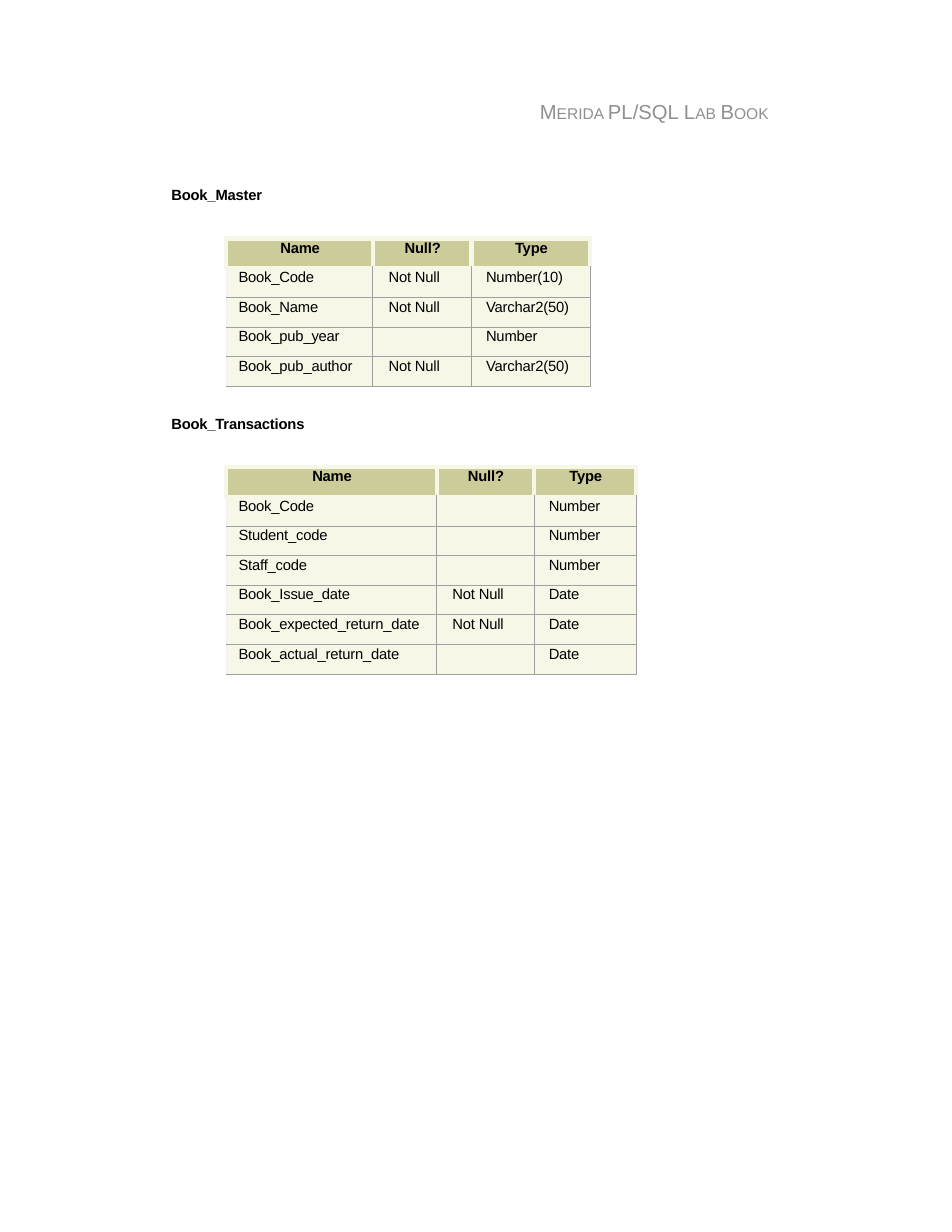
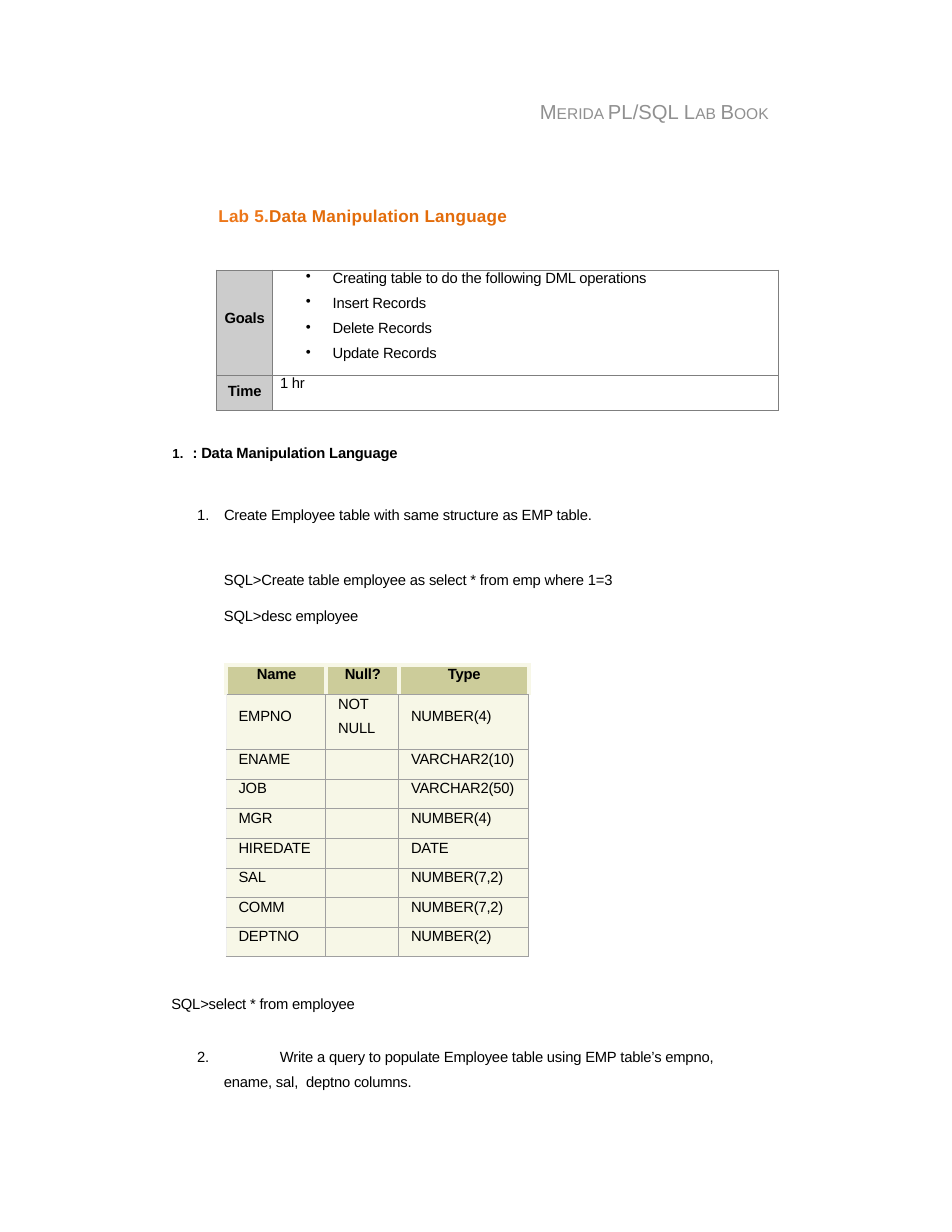
import pptx
import pptx.util
import pptx.dml.color
import pptx.enum.text
import pptx.oxml.ns
from lxml import etree

Inches = pptx.util.Inches
Pt = pptx.util.Pt
RGBColor = pptx.dml.color.RGBColor
qn = pptx.oxml.ns.qn
CENTER = pptx.enum.text.PP_ALIGN.CENTER

BLACK = RGBColor(0x00, 0x00, 0x00)
TITLE_GREY = RGBColor(0x90, 0x90, 0x90)
ORANGE = RGBColor(0xED, 0x77, 0x1A)
DARK_ORANGE = RGBColor(0xE3, 0x6C, 0x0A)
KHAKI = RGBColor(0xCC, 0xCC, 0x9A)
CREAM = RGBColor(0xF7, 0xF7, 0xE7)
LABEL_GREY = RGBColor(0xCC, 0xCC, 0xCC)
THICK = (CREAM, 3)
THIN = (RGBColor(0xA0, 0xA0, 0xA0), 0.75)
PALE = (RGBColor(0xEF, 0xEF, 0xEF), 0.75)
BOX = (RGBColor(0x7F, 0x7F, 0x7F), 0.5)
ROW = Inches(1.85) // 7


def text(tf, content, size=9.5, color=BLACK, bold=False, spc=-10, align=None, left=0.01,
         first=0, before=0, line=None, level=0, bullet=None, bullet_size=None, tab=None):
    tf.word_wrap = True
    p = tf.paragraphs[0]
    if p.runs:
        p = tf.add_paragraph()
    p.alignment = align
    p.level = level
    p.space_before = Pt(before)
    if line:
        p.line_spacing = line
    pPr = p._p.get_or_add_pPr()
    pPr.set("marL", str(Inches(left)))
    pPr.set("indent", str(Inches(first)))
    if bullet_size:
        etree.SubElement(pPr, qn("a:buSzPct"), val=str(bullet_size * 1000))
    if bullet == "1.":
        etree.SubElement(pPr, qn("a:buAutoNum"), type="arabicPeriod")
    elif bullet:
        etree.SubElement(pPr, qn("a:buChar"), char=bullet)
    if tab:
        tabs = etree.SubElement(pPr, qn("a:tabLst"))
        etree.SubElement(tabs, qn("a:tab"), pos=str(Inches(tab)), algn="l")
    if not content:
        etree.SubElement(p._p, qn("a:endParaRPr"), sz="900")
        return
    parts = [(content, size, color)] if isinstance(content, str) else content
    for words, part_size, part_color in parts:
        r = p.add_run()
        r.text = words
        r.font.name = "Arial"
        r.font.size = Pt(part_size)
        r.font.bold = bold
        r.font.color.rgb = part_color
        r._r.get_or_add_rPr().set("spc", str(spc))


def frame_cell(cell, left, right, top, bottom, fill=None, margin_top=0.01):
    tcPr = cell._tc.get_or_add_tcPr()
    for side, (color, width) in zip("LRTB", (left, right, top, bottom)):
        ln = etree.SubElement(tcPr, qn(f"a:ln{side}"), w=str(Pt(width)))
        solid = etree.SubElement(ln, qn("a:solidFill"))
        etree.SubElement(solid, qn("a:srgbClr"), val=str(color))
    if fill is None:
        cell.fill.background()
    else:
        cell.fill.solid()
        cell.fill.fore_color.rgb = fill
    cell.margin_left = cell.margin_right = cell.margin_bottom = 0
    cell.margin_top = Inches(margin_top)


prs = pptx.Presentation()
prs.slide_width = Inches(8.5)
prs.slide_height = Inches(11)
slides = [prs.slides.add_slide(prs.slide_layouts[6]) for _ in range(2)]

book_title = [(words, size, TITLE_GREY) for words, size in [
    ("M", 13), ("ERIDA ", 10), ("PL/SQL L", 13), ("AB ", 10), ("B", 13), ("OOK", 10)]]
lab_title = [("Lab 5.", 11, ORANGE), ("Data Manipulation Language", 11, DARK_ORANGE)]
title_box = (4.81, 0.87, 2.14, 0.25)
title_lines = [(book_title, dict(spc=5))]

text_boxes = [
    (0, title_box, 0.02, title_lines),
    (0, (1.52, 1.65, 0.95, 0.19), 0.01, [("Book_Master", dict(bold=True))]),
    (0, (1.52, 3.69, 1.34, 0.19), 0.01, [("Book_Transactions", dict(bold=True))]),
    (1, title_box, 0.02, title_lines),
    (1, (1.94, 1.81, 2.72, 0.22), 0.02, [(lab_title, dict(bold=True, spc=12))]),
    (1, (1.52, 3.95, 3.95, 0.72), 0.01, [
        (": Data Manipulation Language", dict(
            bold=True, level=1, left=0.2, first=-0.18, bullet="1.", bullet_size=89)),
        ("Create Employee table with same structure as EMP table.", dict(
            level=2, left=0.48, first=-0.24, bullet="1.", before=28.3))]),
    (1, (1.99, 5.09, 3.66, 0.49), 0.01, [
        ("SQL>Create table employee as select * from emp where 1=3", {}),
        ("SQL>desc employee", dict(before=11.6))]),
    (1, (1.52, 8.87, 5.2, 0.86), 0.01, [
        ("SQL>select * from employee", {}),
        ("2.\t\tWrite a query to populate Employee table using EMP table’s "
         "empno, ename, sal,  deptno columns.",
         dict(left=0.48, first=-0.24, line=1.42, before=18, tab=0.52))]),
]
for index, box, inset, lines in text_boxes:
    sp = slides[index].shapes.add_textbox(*map(Inches, box))
    tf = sp.text_frame
    tf.margin_left = tf.margin_right = tf.margin_bottom = 0
    tf.margin_top = Inches(inset)
    for words, style in lines:
        text(tf, words, **style)

schema_tables = [
    (0, 2.13, (1.31, 0.88, 1.06), (0.11, 0.14, 0.13), THICK, [
        ("Book_Code", "Not Null", "Number(10)"),
        ("Book_Name", "Not Null", "Varchar2(50)"),
        ("Book_pub_year", "", "Number"),
        ("Book_pub_author", "Not Null", "Varchar2(50)")]),
    (0, 4.17, (1.88, 0.87, 0.91), (0.11, 0.14, 0.13), THICK, [
        ("Book_Code", "", "Number"),
        ("Student_code", "", "Number"),
        ("Staff_code", "", "Number"),
        ("Book_Issue_date", "Not Null", "Date"),
        ("Book_expected_return_date", "Not Null", "Date"),
        ("Book_actual_return_date", "", "Date")]),
    (1, 5.94, (0.89, 0.65, 1.16), (0.11, 0.11, 0.11), THIN, [
        ("EMPNO", "NOT\nNULL", "NUMBER(4)"),
        ("ENAME", "", "VARCHAR2(10)"),
        ("JOB", "", "VARCHAR2(50)"),
        ("MGR", "", "NUMBER(4)"),
        ("HIREDATE", "", "DATE"),
        ("SAL", "", "NUMBER(7,2)"),
        ("COMM", "", "NUMBER(7,2)"),
        ("DEPTNO", "", "NUMBER(2)")]),
]
for index, top, widths, indents, header_line, records in schema_tables:
    rows = [("Name", "Null?", "Type")] + records
    heights = [Inches(0.49) if "NOT\nNULL" in row else ROW for row in rows]
    table = slides[index].shapes.add_table(
        len(rows), 3, Inches(2.02), Inches(top), Inches(sum(widths)), sum(heights)).table
    table.first_row = table.horz_banding = False
    for column, width in zip(table.columns, widths):
        column.width = Inches(width)
    for i, row in enumerate(rows):
        table.rows[i].height = heights[i]
        for j, value in enumerate(row):
            cell = table.cell(i, j)
            if i == 0:
                frame_cell(cell, THICK, THICK, THICK, header_line, KHAKI)
                text(cell.text_frame, value, bold=True, align=CENTER)
                continue
            centred = heights[i] > ROW and "\n" not in value
            frame_cell(cell, THIN if j else PALE, THIN, header_line if i == 1 else THIN, THIN,
                       CREAM, 0.12 if centred else 0.01)
            for k, words in enumerate(value.split("\n")):
                text(cell.text_frame, words, left=indents[j], before=4.8 * k)

goals = ["Creating table to do the following DML operations",
         "Insert Records", "Delete Records", "Update Records"]
table = slides[1].shapes.add_table(
    2, 2, Inches(1.93), Inches(2.41), Inches(5.02), Inches(1.25)).table
table.first_row = table.horz_banding = False
for column, width in zip(table.columns, (0.5, 4.52)):
    column.width = Inches(width)
for i, (label, height, margin) in enumerate([("Goals", 0.94, 0.36), ("Time", 0.31, 0.07)]):
    table.rows[i].height = Inches(height)
    frame_cell(table.cell(i, 0), BOX, BOX, BOX, BOX, LABEL_GREY, margin)
    frame_cell(table.cell(i, 1), BOX, BOX, BOX, BOX, margin_top=0)
    text(table.cell(i, 0).text_frame, label, bold=True, align=CENTER)
for k, goal in enumerate(goals):
    text(table.cell(0, 1).text_frame, goal, left=0.54, first=-0.24, bullet="•",
         before=5.5 if k else 0)
text(table.cell(1, 1).text_frame, "1 hr", left=0.07)

prs.save("out.pptx")
